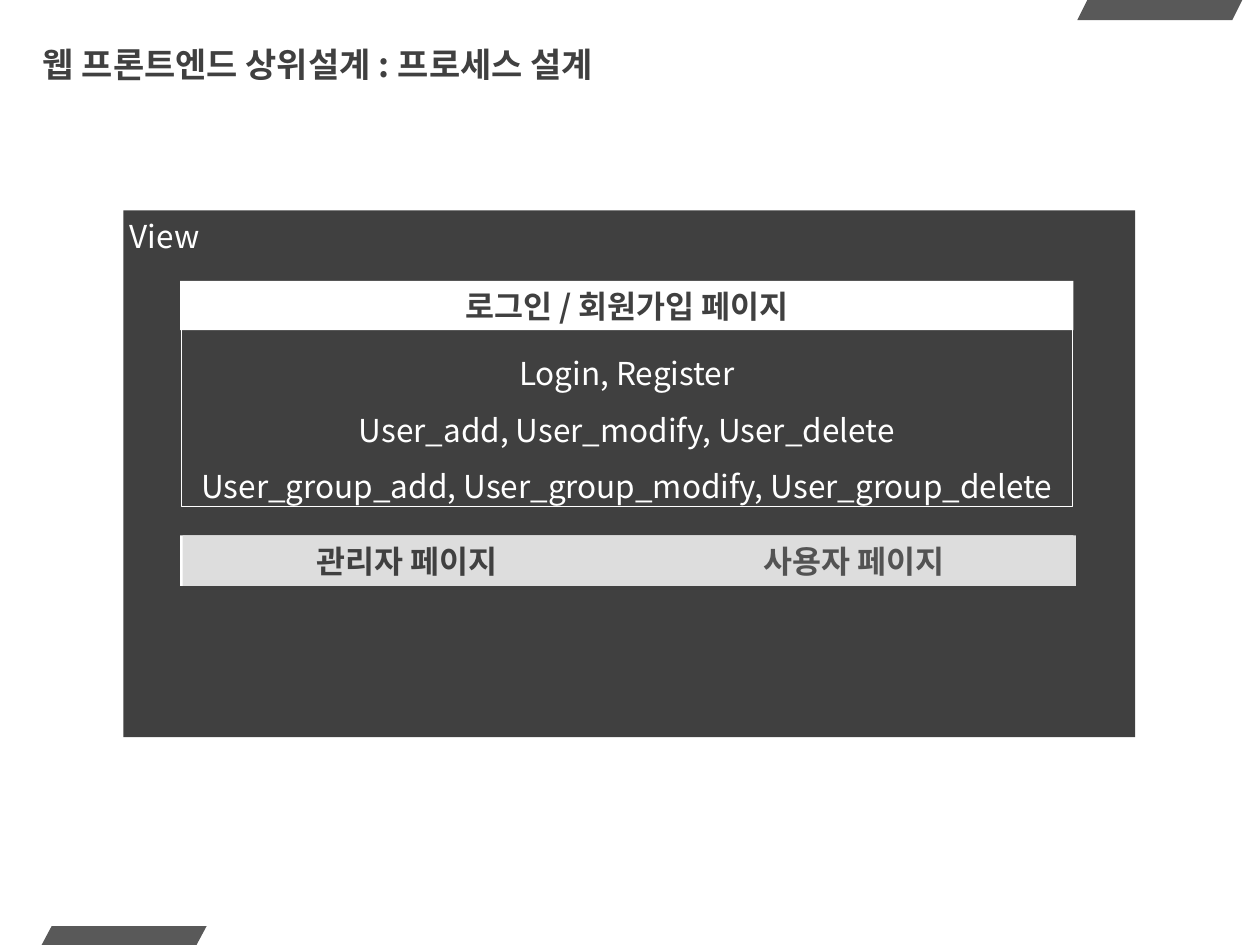
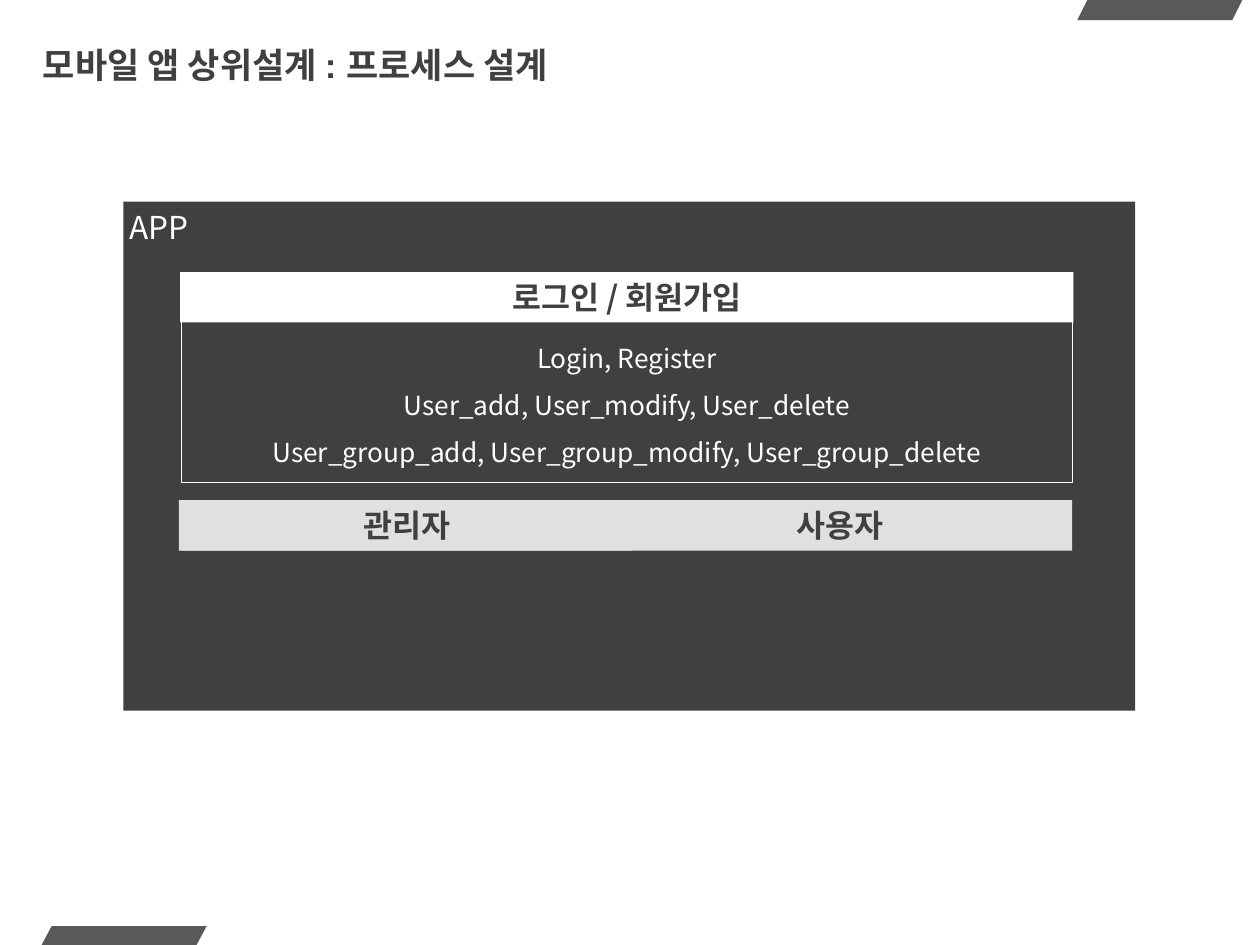
"""Build two process design slides, one for the web front end and one for the mobile app."""
from dataclasses import dataclass

from lxml import etree
from pptx import Presentation
from pptx.dml.color import RGBColor
from pptx.enum import shapes, text
from pptx.oxml import ns
from pptx.util import Inches, Pt


@dataclass(frozen=True)
class Theme:
    font: str = "Noto Sans CJK KR"
    latin: str = "Arial"
    dark: str = "404040"
    slate: str = "595959"
    gray: str = "535353"
    white: str = "FFFFFF"
    silver: str = "DDDDDD"
    pale: str = "E0E0E0"
    size: float = 18
    small: float = 15
    head: float = 20
    tight: float = 19.4
    edge: float = 0.75
    pad: float = 0.05


class Deck:
    def __init__(self, theme):
        self.theme = theme
        self.prs = Presentation()
        self.prs.slide_width = Inches(10)
        self.prs.slide_height = Inches(7.5)
        self.slide = None

    def start(self, title, size, font):
        self.slide = self.prs.slides.add_slide(self.prs.slide_layouts[5])
        self.slant(0.33, 7.35, 0.15)
        self.slant(8.55, 0, 0.16)
        box = self.slide.shapes.title
        box.left, box.top, box.width, box.height = map(Inches, (0.24, 0.33, 8.03, 0.4))
        frame = box.text_frame
        frame.auto_size = text.MSO_AUTO_SIZE.NONE
        frame.vertical_anchor = text.MSO_ANCHOR.MIDDLE
        self.style(frame, [title], size, self.theme.dark, True, text.PP_ALIGN.LEFT, 0.9, font)

    def slant(self, left, top, height, width=1.31, skew=0.08):
        form = self.slide.shapes.build_freeform(Inches(left + skew), Inches(top))
        ends = [(left + width, top), (left + width - skew, top + height), (left, top + height)]
        form.add_line_segments([(Inches(x), Inches(y)) for x, y in ends])
        self.paint(form.convert_to_shape(), self.theme.slate)

    def paint(self, shape, fill=None, line=None):
        shape.shadow.inherit = False
        if fill:
            shape.fill.solid()
            shape.fill.fore_color.rgb = RGBColor.from_string(fill)
        else:
            shape.fill.background()
        if line:
            shape.line.color.rgb = RGBColor.from_string(line)
            shape.line.width = Pt(self.theme.edge)
        else:
            shape.line.fill.background()

    def style(self, frame, lines, size, color, bold, align, space, font=None):
        frame.text = "\n".join(lines)
        for par in frame.paragraphs:
            par.alignment = align
            par.line_spacing = space
            par.font.size = Pt(size)
            par.font.bold = bold
            par.font.color.rgb = RGBColor.from_string(color)
            par.font.name = font or self.theme.font
            props = par._p.get_or_add_pPr().get_or_add_defRPr()
            east = etree.SubElement(props, ns.qn("a:ea"))
            east.set("typeface", self.theme.font)

    def fit(self, frame):
        frame.word_wrap = True
        frame.vertical_anchor = text.MSO_ANCHOR.TOP
        pad = Inches(self.theme.pad)
        frame.margin_left = frame.margin_top = frame.margin_right = frame.margin_bottom = pad

    def rect(self, area, fill=None, line=None, lines=(), size=None, color=None,
             bold=False, align=text.PP_ALIGN.CENTER, space=1.0):
        shape = self.slide.shapes.add_shape(shapes.MSO_SHAPE.RECTANGLE, *map(Inches, area))
        self.paint(shape, fill, line)
        if lines:
            self.fit(shape.text_frame)
            self.style(shape.text_frame, lines, size or self.theme.size,
                       color or self.theme.dark, bold, align, space)

    def label(self, area, words):
        box = self.slide.shapes.add_textbox(*map(Inches, area))
        self.fit(box.text_frame)
        self.style(box.text_frame, [words], self.theme.size, self.theme.dark, True,
                   text.PP_ALIGN.CENTER, 1.0)

    def panel(self, name, top, height):
        self.rect((0.98, top, 8.03, height), self.theme.dark, lines=[name],
                  color=self.theme.white, align=text.PP_ALIGN.LEFT)

    def card(self, head, top, tall, body, height, size):
        calls = ["Login, Register"] + [
            ", ".join(f"{stem}_{verb}" for verb in ("add", "modify", "delete"))
            for stem in ("User", "User_group")]
        self.rect((1.43, top, 7.09, tall), self.theme.white, lines=[head], bold=True)
        self.rect((1.44, body, 7.07, height), line=self.theme.white, lines=calls,
                  size=size, color=self.theme.white, space=1.5)


def main():
    look = Theme()
    deck = Deck(look)

    deck.start("웹 프론트엔드 상위설계 : 프로세스 설계", look.tight, look.font)
    deck.panel("View", 1.67, 4.18)
    deck.card("로그인 / 회원가입 페이지", 2.23, 0.39, 2.61, 1.41, look.size)
    deck.rect((1.43, 4.25, 7.09, 0.4), look.white)
    deck.rect((1.45, 4.25, 3.56, 0.4), look.silver, lines=["관리자 페이지"], bold=True)
    deck.rect((5.01, 4.25, 3.53, 0.4), look.silver, lines=["사용자 페이지"],
              color=look.gray, bold=True)

    deck.start("모바일 앱 상위설계 : 프로세스 설계", look.head, look.latin)
    deck.panel("APP", 1.6, 4.04)
    deck.card("로그인 / 회원가입", 2.16, 0.4, 2.54, 1.29, look.small)
    deck.rect((1.42, 3.97, 7.09, 0.4), look.pale)
    deck.rect((1.44, 3.97, 3.58, 0.4), look.pale, lines=["관리자"], bold=True)
    deck.label((4.88, 3.97, 3.58, 0.4), "사용자")

    deck.prs.save("out.pptx")


if __name__ == "__main__":
    main()
